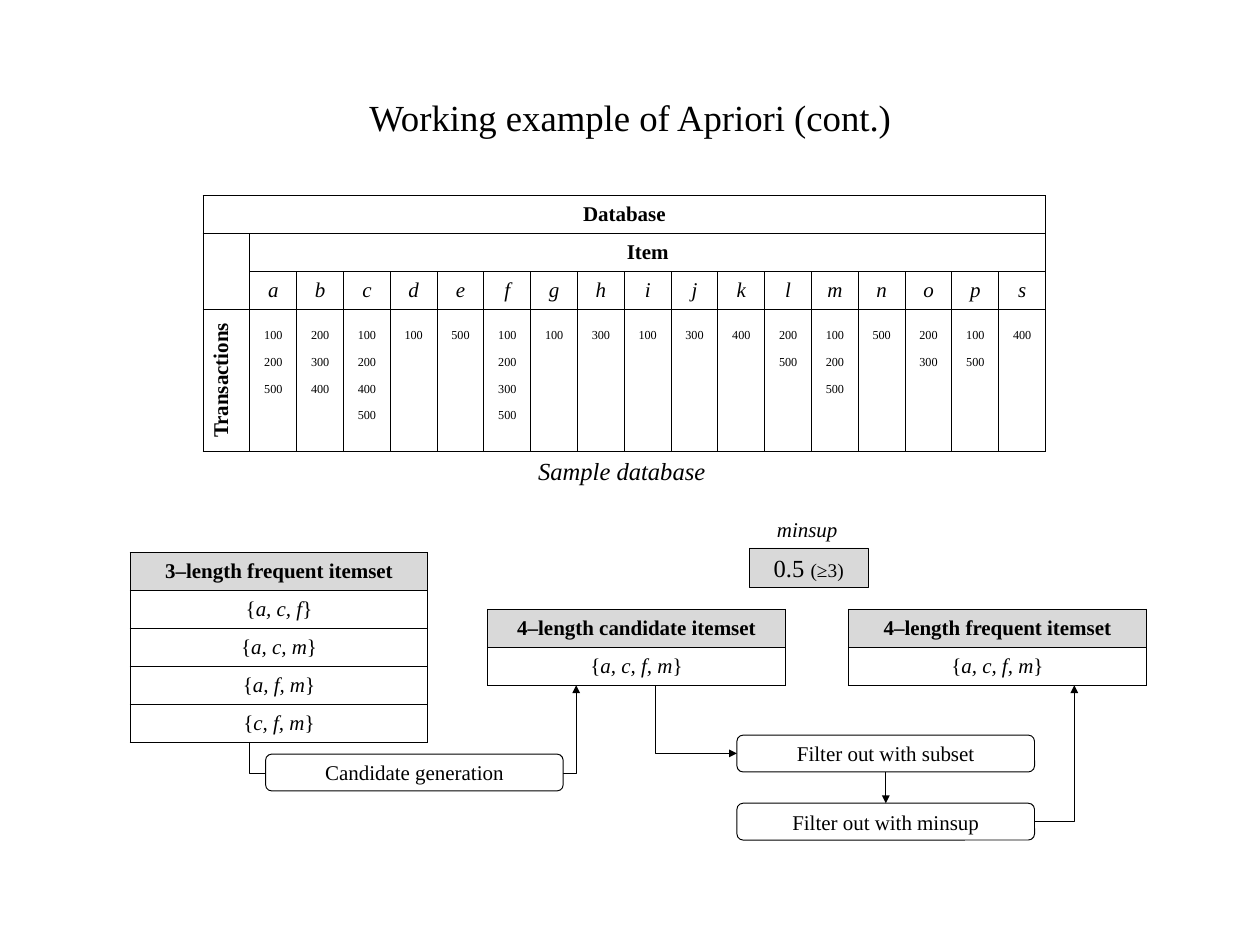
"""Build the slide with the worked Apriori example."""
from dataclasses import dataclass
from typing import NamedTuple

from lxml.etree import SubElement
from pptx import Presentation
from pptx.dml.color import RGBColor
from pptx.enum.shapes import MSO_CONNECTOR, MSO_SHAPE
from pptx.enum.text import MSO_ANCHOR, PP_ALIGN
from pptx.oxml.ns import qn
from pptx.util import Cm, Pt

FONT = "Times New Roman"
HUES = {"ink": "000000", "head": "D9D9D9", "paper": "FFFFFF"}
ROW = 1.02
WIDE = 8.0
HIGH = 0.99


class Point(NamedTuple):
    x: float
    y: float


@dataclass
class Label:
    text: str
    left: float
    top: float
    width: float
    height: float
    size: float = 16
    italic: bool = True
    anchor: MSO_ANCHOR = MSO_ANCHOR.TOP


@dataclass
class Sets:
    title: str
    left: float
    top: float
    items: list[str]


@dataclass
class Elbow:
    start: Point
    end: Point
    turn: int
    bend: float | None = None


ITEMS = {
    "a": "100 200 500", "b": "200 300 400", "c": "100 200 400 500", "d": "100",
    "e": "500", "f": "100 200 300 500", "g": "100", "h": "300", "i": "100",
    "j": "300", "k": "400", "l": "200 500", "m": "100 200 500", "n": "500",
    "o": "200 300", "p": "100 500", "s": "400",
}
LABELS = [
    Label("Working example of Apriori (cont.)", 1.7, 1.02, 30.48, 4.24, 28, False, MSO_ANCHOR.MIDDLE),
    Label("Sample database", 14.2, 12.12, 5.03, 1.07, 18.7),
    Label("minsup", 20.62, 13.77, 2.16, 0.94),
]
SETS = [
    Sets("3–length frequent itemset", 3.5, 14.86, ["a, c, f", "a, c, m", "a, f, m", "c, f, m"]),
    Sets("4–length candidate itemset", 13.11, 16.38, ["a, c, f, m"]),
    Sets("4–length frequent itemset", 22.81, 16.38, ["a, c, f, m"]),
]
ELBOWS = [
    Elbow(Point(6.71, 19.94), Point(15.49, 18.42), 90, -0.556),
    Elbow(Point(17.63, 18.42), Point(19.81, 20.25), 270),
    Elbow(Point(27.81, 22.08), Point(28.88, 18.42), 0),
]


def hue(name: str) -> RGBColor:
    """Return a named colour."""
    return RGBColor.from_string(HUES[name])


def write(para, text: str, *, size: float = 16, bold: bool = False,
          italic: bool = False, sub: bool = False) -> None:
    """Add one formatted run to a centred paragraph."""
    para.alignment = PP_ALIGN.CENTER
    run = para.add_run()
    run.text = text
    font = run.font
    font.name, font.size, font.bold, font.italic = FONT, Pt(size), bold, italic
    font.color.rgb = hue("ink")
    if sub:
        run._r.get_or_add_rPr().set("baseline", "-25000")


def grid(slide, spot: Point, width: float, cols: int, rows: list[float]):
    """Add a plain table with thin black borders."""
    frame = slide.shapes.add_table(len(rows), cols, Cm(spot.x), Cm(spot.y), Cm(width), Cm(sum(rows)))
    table = frame.table
    table.first_row = table.horz_banding = False
    for col in table.columns:
        col.width = Cm(width / cols)
    for row, high in zip(table.rows, rows):
        row.height = Cm(high)
        for cell in row.cells:
            cell.vertical_anchor = MSO_ANCHOR.MIDDLE
            cell.margin_left = cell.margin_right = Cm(0.33)
            cell.margin_top = cell.margin_bottom = Cm(0.17)
            props = cell._tc.get_or_add_tcPr()
            for side in ("lnL", "lnR", "lnT", "lnB"):
                line = SubElement(props, qn(f"a:{side}"), w=str(Pt(1)))
                SubElement(SubElement(line, qn("a:solidFill")), qn("a:srgbClr"), val=HUES["ink"])
            cell.fill.background()
            cell.text_frame.paragraphs[0]._p.get_or_add_endParaRPr().set("sz", "1600")
    return table


def head(cell, text: str) -> None:
    """Write a bold heading in a cell."""
    write(cell.text_frame.paragraphs[0], text, bold=True)


def base(slide) -> None:
    """Draw the database table."""
    count = len(ITEMS)
    table = grid(slide, Point(5.46, 5.26), 22.66, count + 1, [ROW] * 3 + [3.81])
    table.cell(0, 0).merge(table.cell(0, count))
    table.cell(1, 0).merge(table.cell(2, 0))
    table.cell(1, 1).merge(table.cell(1, count))
    head(table.cell(0, 0), "Database")
    head(table.cell(1, 1), "Item")
    side = table.cell(3, 0)
    head(side, "Transactions")
    side._tc.get_or_add_tcPr().set("vert", "vert270")
    for col, (name, codes) in enumerate(ITEMS.items(), 1):
        write(table.cell(2, col).text_frame.paragraphs[0], name, italic=True)
        cell = table.cell(3, col)
        cell.vertical_anchor = MSO_ANCHOR.TOP
        for row, code in enumerate(codes.split()):
            text = cell.text_frame
            write(text.add_paragraph() if row else text.paragraphs[0], code, sub=True)


def group(slide, sets: Sets) -> None:
    """Draw one table of itemsets."""
    table = grid(slide, Point(sets.left, sets.top), WIDE, 1, [ROW] * (len(sets.items) + 1))
    top = table.cell(0, 0)
    head(top, sets.title)
    top.fill.solid()
    top.fill.fore_color.rgb = hue("head")
    for row, item in enumerate(sets.items, 1):
        para = table.cell(row, 0).text_frame.paragraphs[0]
        write(para, "{")
        write(para, item, italic=True)
        write(para, "}")


def label(slide, item: Label) -> None:
    """Draw one line of free text."""
    shape = slide.shapes.add_textbox(Cm(item.left), Cm(item.top), Cm(item.width), Cm(item.height))
    frame = shape.text_frame
    frame.word_wrap = False
    frame.vertical_anchor = item.anchor
    write(frame.paragraphs[0], item.text, size=item.size, italic=item.italic)


def box(slide, kind: MSO_SHAPE, spot: Point, width: float, height: float, fill: str):
    """Add an outlined box with centred text."""
    shape = slide.shapes.add_shape(kind, Cm(spot.x), Cm(spot.y), Cm(width), Cm(height))
    shape.shadow.inherit = False
    shape.fill.solid()
    shape.fill.fore_color.rgb = hue(fill)
    shape.line.color.rgb = hue("ink")
    shape.line.width = Pt(0.75)
    shape.text_frame.word_wrap = False
    shape.text_frame.vertical_anchor = MSO_ANCHOR.MIDDLE
    return shape


def step(slide, text: str, spot: Point):
    """Draw one rounded step box."""
    shape = box(slide, MSO_SHAPE.ROUNDED_RECTANGLE, spot, WIDE, HIGH, "paper")
    write(shape.text_frame.paragraphs[0], text)
    return shape


def arrow(slide, kind: MSO_CONNECTOR, start: Point, end: Point):
    """Add a thin connector with an arrowhead at its end."""
    link = slide.shapes.add_connector(kind, Cm(start.x), Cm(start.y), Cm(end.x), Cm(end.y))
    link.line.color.rgb = hue("ink")
    link.line.width = Pt(0.75)
    SubElement(link.line._get_or_add_ln(), qn("a:tailEnd"), type="triangle")
    SubElement(link._element.spPr, qn("a:effectLst"))
    return link


def elbow(slide, item: Elbow) -> None:
    """Draw a bent arrow, turned about the middle of its ends."""
    (ax, ay), (bx, by) = item.start, item.end
    dx, dy = (bx - ax) / 2, (by - ay) / 2
    dx, dy = {0: (dx, dy), 90: (dy, -dx), 270: (-dy, dx)}[item.turn]
    mx, my = (ax + bx) / 2, (ay + by) / 2
    link = arrow(slide, MSO_CONNECTOR.ELBOW, Point(mx - dx, my - dy), Point(mx + dx, my + dy))
    props = link._element.spPr
    props.find(qn("a:xfrm")).set("rot", str(item.turn * 60000))
    shape = props.find(qn("a:prstGeom"))
    if item.bend is None:
        shape.set("prst", "bentConnector2")
    else:
        SubElement(shape.find(qn("a:avLst")), qn("a:gd"), name="adj1", fmla=f"val {round(item.bend * 100000)}")


def main() -> None:
    """Build and save the slide."""
    deck = Presentation()
    deck.slide_width, deck.slide_height = Cm(33.87), Cm(25.4)
    slide = deck.slides.add_slide(deck.slide_layouts[6])
    base(slide)
    for item in LABELS:
        label(slide, item)
    for sets in SETS:
        group(slide, sets)
    for item in ELBOWS:
        elbow(slide, item)
    first = step(slide, "Filter out with subset", Point(19.81, 19.76))
    last = step(slide, "Filter out with minsup", Point(19.81, 21.59))
    link = arrow(slide, MSO_CONNECTOR.STRAIGHT, Point(23.81, 20.75), Point(23.81, 21.59))
    link.begin_connect(first, 2)
    link.end_connect(last, 0)
    step(slide, "Candidate generation", Point(7.14, 20.27))
    limit = box(slide, MSO_SHAPE.RECTANGLE, Point(20.14, 14.73), 3.2, 1.07, "head")
    para = limit.text_frame.paragraphs[0]
    write(para, "0.5 ", size=18.7)
    write(para, "(≥3)", size=14.7)
    deck.save("out.pptx")


if __name__ == "__main__":
    main()
